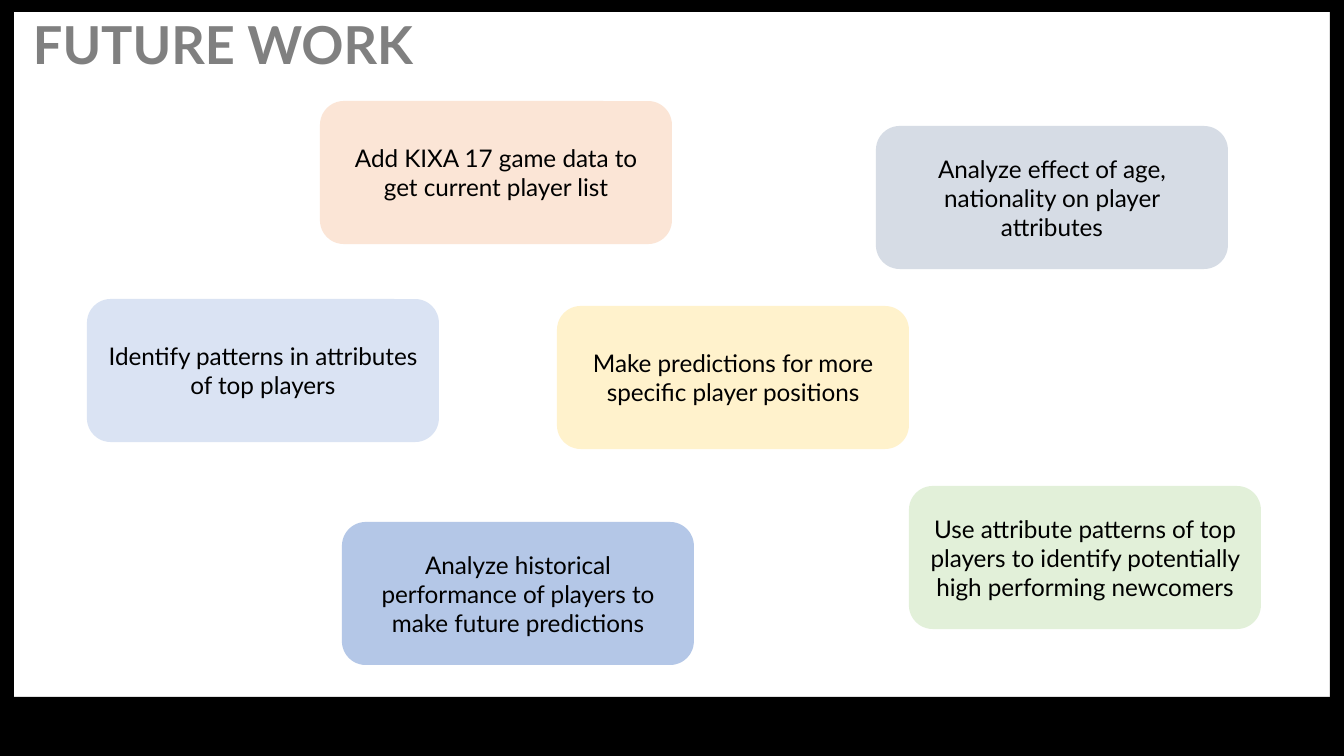
from dataclasses import dataclass

import pptx
import pptx.dml.color
import pptx.enum.shapes
import pptx.enum.text
import pptx.util

EMU_PER_PX = 914400 / 134.4
SLIDE_WIDTH, SLIDE_HEIGHT = 1344, 756
IDEA_WIDTH, IDEA_HEIGHT = 352, 143
FRAME_TOP, FRAME_SIDE, FRAME_BOTTOM = 12, 14, 59
FONT = "Lato"

COLORS = {
    "frame": "000000",
    "title": "808080",
    "text": "000000",
    "peach": "FBE5D6",
    "yellow": "FFF2CC",
    "pale blue": "DAE3F3",
    "gray": "D6DCE5",
    "green": "E2F0D9",
    "blue": "B4C7E7",
}


@dataclass(frozen=True)
class Bar:
    left: int
    top: int
    width: int
    height: int


@dataclass(frozen=True)
class Idea:
    left: int
    top: int
    color: str
    text: str


INNER_HEIGHT = SLIDE_HEIGHT - FRAME_TOP - FRAME_BOTTOM
FRAME = [
    Bar(0, SLIDE_HEIGHT - FRAME_BOTTOM, SLIDE_WIDTH, FRAME_BOTTOM),
    Bar(0, FRAME_TOP, FRAME_SIDE, INNER_HEIGHT),
    Bar(0, 0, SLIDE_WIDTH, FRAME_TOP),
    Bar(SLIDE_WIDTH - FRAME_SIDE, FRAME_TOP, FRAME_SIDE, INNER_HEIGHT),
]

IDEAS = [
    Idea(320, 101, "peach", "Add KIXA 17 game data to get current player list"),
    Idea(557, 306, "yellow", "Make predictions for more specific player positions"),
    Idea(87, 299, "pale blue", "Identify patterns in attributes of top players"),
    Idea(876, 126, "gray", "Analyze effect of age, nationality on player attributes"),
    Idea(909, 486, "green", "Use attribute patterns of top players to identify "
                            "potentially high performing newcomers"),
    Idea(342, 522, "blue", "Analyze historical performance of players to "
                           "make future predictions"),
]


def px(length: int) -> pptx.util.Emu:
    return pptx.util.Emu(round(length * EMU_PER_PX))


def rgb(name: str) -> pptx.dml.color.RGBColor:
    return pptx.dml.color.RGBColor.from_string(COLORS[name])


def write(shape, text: str, size: int, color: str, margin: int, bold: bool = False):
    """Fill a shape with one vertically centred paragraph and return it."""
    frame = shape.text_frame
    frame.text = text
    frame.word_wrap = True
    frame.auto_size = pptx.enum.text.MSO_AUTO_SIZE.NONE
    frame.vertical_anchor = pptx.enum.text.MSO_ANCHOR.MIDDLE
    frame.margin_left = frame.margin_right = px(margin)
    frame.margin_top = frame.margin_bottom = px(7)
    paragraph = frame.paragraphs[0]
    font = paragraph.runs[0].font
    font.name = FONT
    font.size = pptx.util.Pt(size)
    font.bold = bold
    font.color.rgb = rgb(color)
    return paragraph


def add_block(slide, kind, left: int, top: int, width: int, height: int, color: str):
    block = slide.shapes.add_shape(kind, px(left), px(top), px(width), px(height))
    block.shadow.inherit = False
    block.fill.solid()
    block.fill.fore_color.rgb = rgb(color)
    block.line.fill.background()
    return block


def add_bar(slide, bar: Bar) -> None:
    add_block(slide, pptx.enum.shapes.MSO_SHAPE.RECTANGLE,
              bar.left, bar.top, bar.width, bar.height, "frame")


def add_idea(slide, idea: Idea) -> None:
    card = add_block(slide, pptx.enum.shapes.MSO_SHAPE.ROUNDED_RECTANGLE,
                     idea.left, idea.top, IDEA_WIDTH, IDEA_HEIGHT, idea.color)
    paragraph = write(card, idea.text, 13, "text", margin=13)
    paragraph.alignment = pptx.enum.text.PP_ALIGN.CENTER


def add_title(slide) -> None:
    title = slide.shapes.title
    title.left, title.top = px(26), px(12)
    title.width, title.height = px(1210), px(71)
    paragraph = write(title, "FUTURE WORK", 28, "title", margin=7, bold=True)
    paragraph.alignment = pptx.enum.text.PP_ALIGN.LEFT
    paragraph.line_spacing = 0.9


def main() -> None:
    presentation = pptx.Presentation()
    presentation.slide_width = px(SLIDE_WIDTH)
    presentation.slide_height = px(SLIDE_HEIGHT)
    slide = presentation.slides.add_slide(presentation.slide_layouts[5])

    # Black frame around the slide
    for bar in FRAME:
        add_bar(slide, bar)

    # Heading
    add_title(slide)

    # Scattered idea cards
    for idea in IDEAS:
        add_idea(slide, idea)

    presentation.save("out.pptx")


if __name__ == "__main__":
    main()
